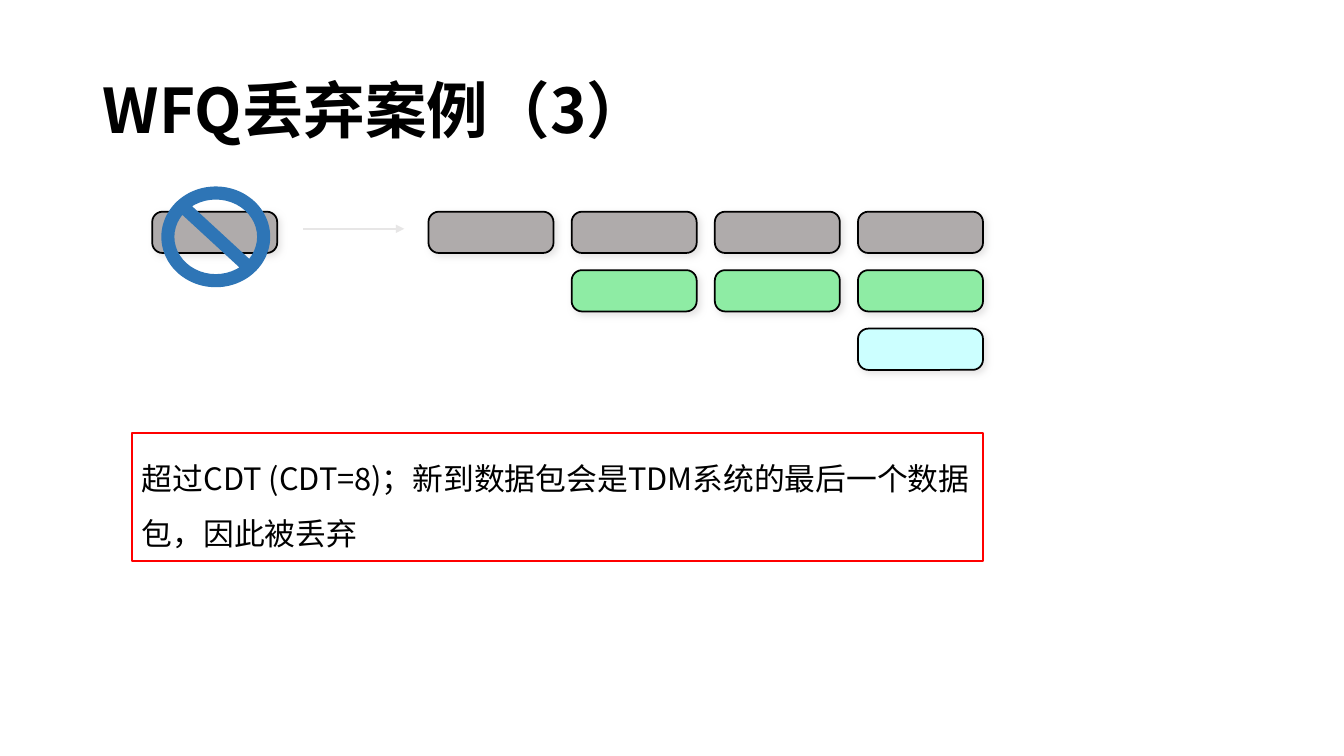
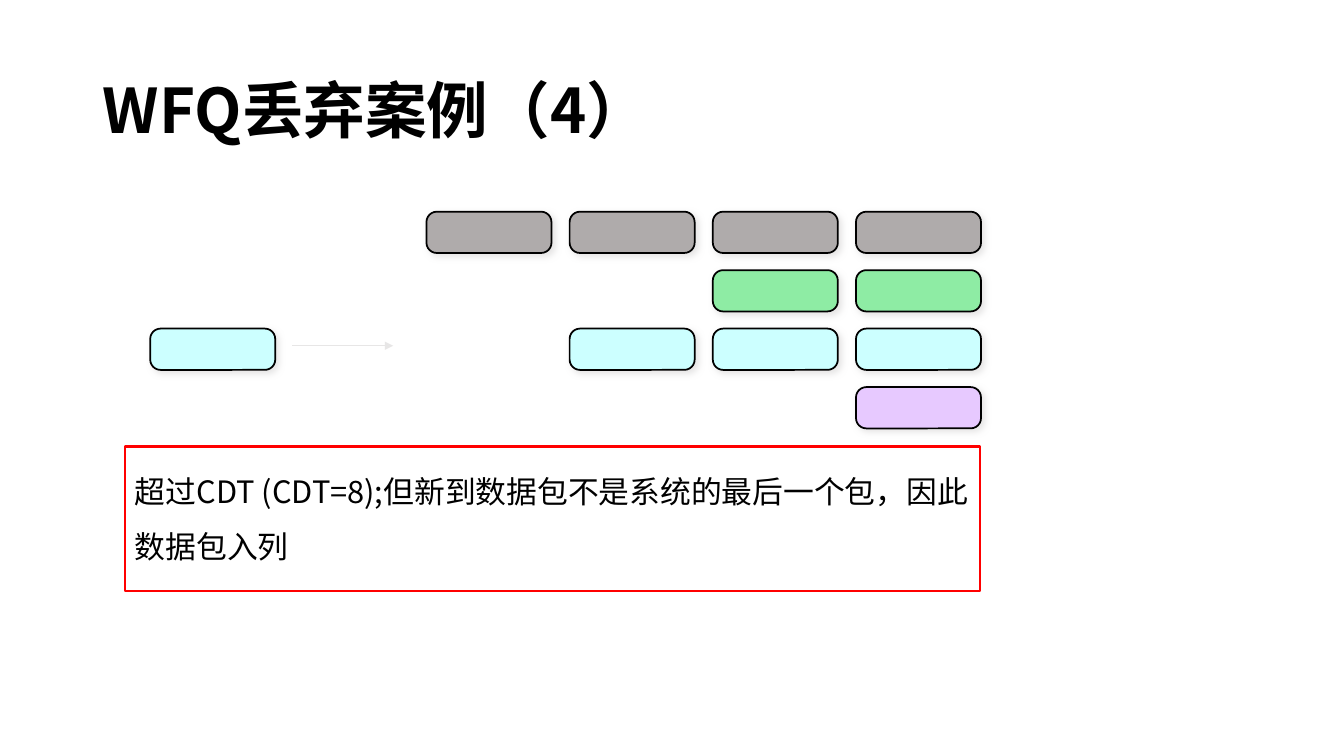
from lxml.etree import SubElement
from pptx import Presentation
from pptx.dml.color import RGBColor
from pptx.enum.shapes import MSO_CONNECTOR, MSO_SHAPE
from pptx.enum.text import MSO_ANCHOR, MSO_AUTO_SIZE, PP_ALIGN
from pptx.oxml.ns import qn
from pptx.util import Inches, Pt

BLACK, RED, PALE, BLUE = "000000", "FF0000", "E7E6E6", "2E75B6"
GRAY, GREEN, CYAN, LILAC = "AFABAB", "8EECA4", "CCFFFF", "E7C9FF"
HEAD, BODY = "Noto Sans CJK SC", "Noto Sans CJK JP"
WIDE, HIGH = 1.24, 0.41
STEP_X, STEP_Y = 1.42, 0.58
TOP = 2.1


def paint(part, color):
    """Give a fill or a font a solid colour."""
    if hasattr(part, "solid"):
        part.solid()
        part.fore_color.rgb = RGBColor.from_string(color)
    else:
        part.color.rgb = RGBColor.from_string(color)


def edge(shape, color, width):
    """Draw a solid line around or along a shape."""
    paint(shape.line.fill, color)
    shape.line.width = Pt(width)


def write(para, text, size, face, bold=False):
    """Add one black run in the given face."""
    run = para.add_run()
    run.text = text
    font = run.font
    font.size, font.name, font.bold = Pt(size), face, bold
    paint(font, BLACK)
    SubElement(run._r.get_or_add_rPr(), qn("a:ea"), typeface=face)


def put(slide, kind, box):
    """Add a preset shape without a shadow in the box."""
    shape = slide.shapes.add_shape(kind, *map(Inches, box))
    shape.shadow.inherit = False
    return shape


def title(slide, text):
    """Place and fill the slide title."""
    head = slide.shapes.title
    head.left, head.top, head.width, head.height = map(
        Inches, (0.92, 0.4, 11.5, 1.45))
    frame = head.text_frame
    frame.auto_size = MSO_AUTO_SIZE.NONE
    frame.vertical_anchor = MSO_ANCHOR.MIDDLE
    para = frame.paragraphs[0]
    para.alignment = PP_ALIGN.LEFT
    para.line_spacing = 0.9
    write(para, text, 44, HEAD, True)


def packet(slide, left, top, color):
    """Add one packet with a soft shadow."""
    shape = put(slide, MSO_SHAPE.ROUNDED_RECTANGLE, (left, top, WIDE, HIGH))
    shape.adjustments[0] = 0.25
    paint(shape.fill, color)
    edge(shape, BLACK, 1.25)
    effect = shape.element.spPr.find(qn("a:effectLst"))
    shade = SubElement(effect, qn("a:outerShdw"), blurRad=str(Pt(5)),
                       dist=str(Pt(2.8)), dir="2700000", algn="ctr",
                       rotWithShape="0")
    SubElement(shade, qn("a:srgbClr"), val=PALE)


def queues(slide, right, rows):
    """Stack queues of packets that end at the right edge."""
    for row, (color, count) in enumerate(rows):
        for col in range(count):
            packet(slide, right - WIDE - col * STEP_X,
                   TOP + row * STEP_Y, color)


def arrow(slide, left, top, width):
    """Draw a one inch arrow that points right."""
    line = slide.shapes.add_connector(
        MSO_CONNECTOR.STRAIGHT,
        *map(Inches, (left, top, left + 1, top)))
    edge(line, PALE, width)
    SubElement(line.line._get_or_add_ln(), qn("a:tailEnd"), type="triangle")
    SubElement(line.element.spPr, qn("a:effectLst"))


def ban(slide, left, top):
    """Mark a packet as dropped."""
    sign = put(slide, MSO_SHAPE.NO_SYMBOL, (left, top, 1.08, 1))
    sign.adjustments[0] = 0.13
    paint(sign.fill, BLUE)
    sign.line.fill.background()


def note(slide, box, text):
    """Add the framed remark below the queues."""
    shape = put(slide, MSO_SHAPE.RECTANGLE, box)
    shape.fill.background()
    edge(shape, RED, 1.5)
    frame = shape.text_frame
    frame.word_wrap = True
    frame.vertical_anchor = MSO_ANCHOR.TOP
    frame.margin_top = Inches(0.08)
    para = frame.paragraphs[0]
    para.alignment = PP_ALIGN.LEFT
    para.line_spacing = Pt(39.4)
    write(para, text, 22, BODY)


def case(deck, name, right, rows, row, gap, width, box, text):
    """Build a slide where a packet arrives at one queue."""
    slide = deck.slides.add_slide(deck.slide_layouts[5])
    title(slide, name)
    queues(slide, right, rows)
    left, top = right - 8.24, TOP + row * STEP_Y
    packet(slide, left, top, rows[row][0])
    arrow(slide, left + WIDE + gap, top + 0.17, width)
    note(slide, box, text)
    return slide


def main():
    """Build and save the deck."""
    deck = Presentation()
    deck.slide_width, deck.slide_height = Inches(13.33), Inches(7.5)
    drop = case(deck, "WFQ丢弃案例（3）", 9.75,
                [(GRAY, 4), (GREEN, 3), (CYAN, 1)], 0, 0.26, 1.5,
                (1.31, 4.3, 8.44, 1.27),
                "超过CDT (CDT=8)；新到数据包会是TDM系统的最后一个数据包，因此被丢弃")
    ban(drop, 1.6, 1.85)
    case(deck, "WFQ丢弃案例（4）", 9.73,
         [(GRAY, 4), (GREEN, 2), (CYAN, 3), (LILAC, 1)], 2, 0.17, 0.75,
         (1.24, 4.43, 8.48, 1.43),
         "超过CDT (CDT=8);但新到数据包不是系统的最后一个包，因此数据包入列")
    deck.save("out.pptx")


if __name__ == "__main__":
    main()
